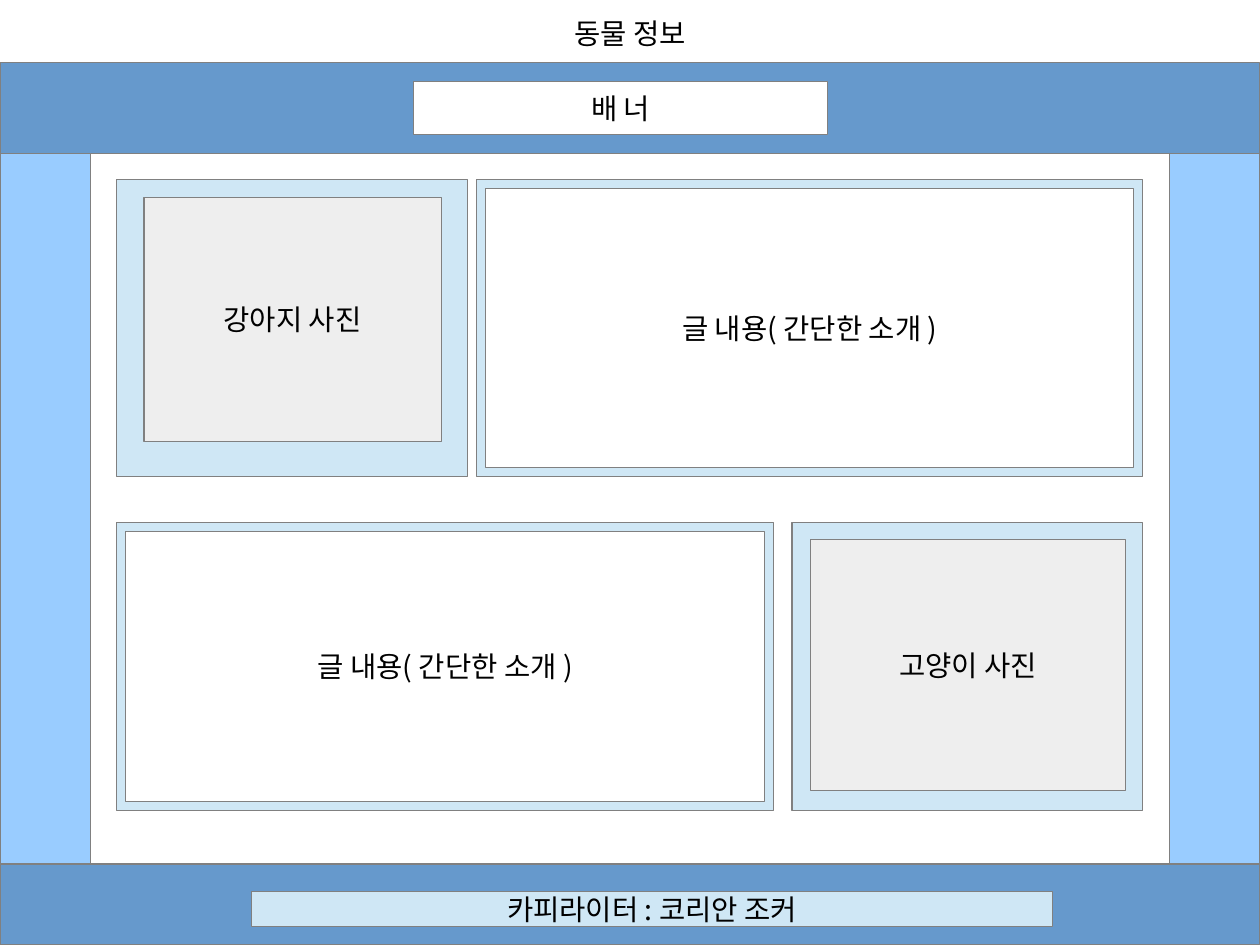
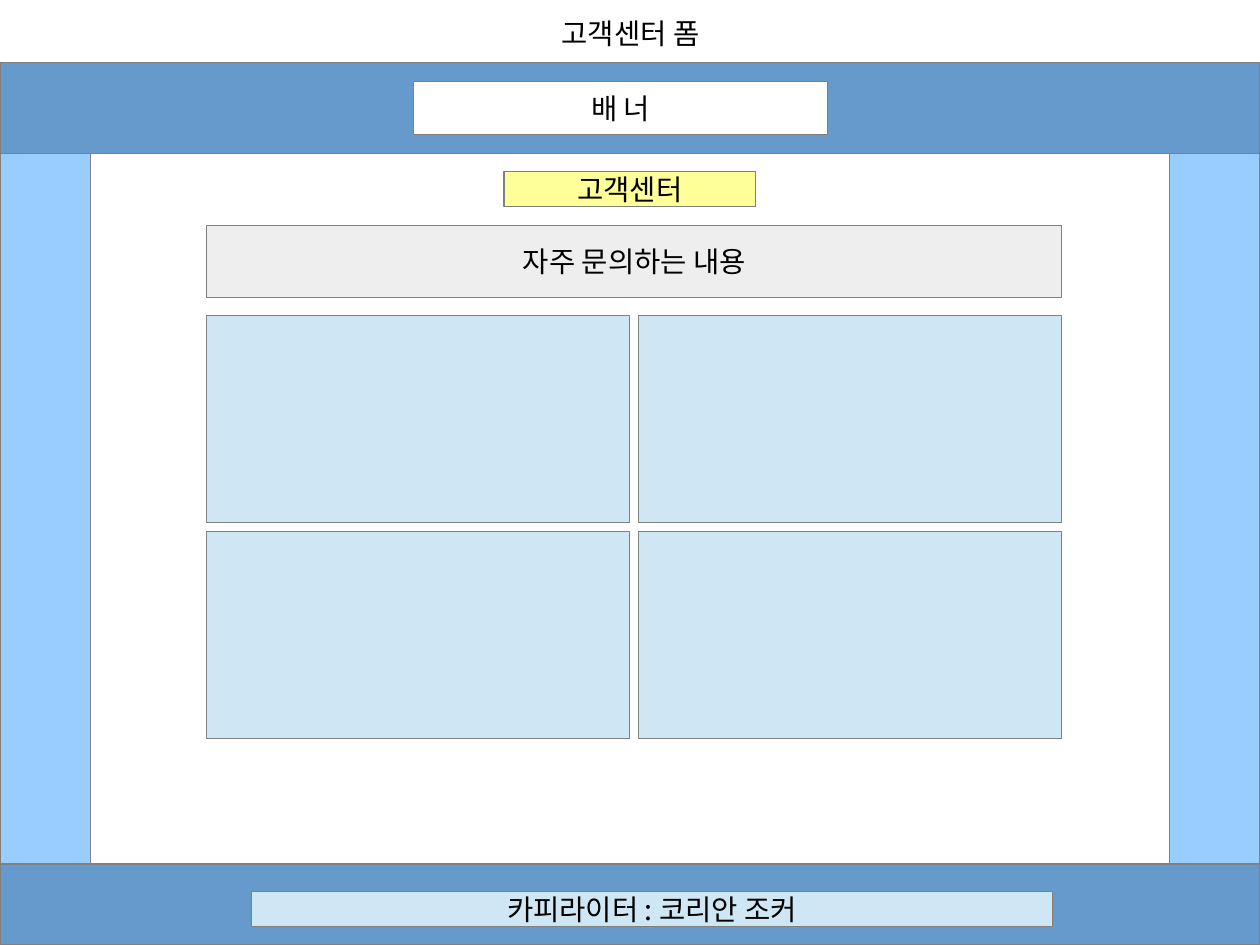
from dataclasses import dataclass

from lxml import etree
from pptx import Presentation
from pptx.dml.color import RGBColor
from pptx.enum.shapes import MSO_SHAPE
from pptx.enum.text import MSO_ANCHOR, PP_ALIGN
from pptx.oxml.ns import qn
from pptx.util import Inches, Pt

RECTANGLE = MSO_SHAPE.RECTANGLE
CENTER = PP_ALIGN.CENTER
MIDDLE = MSO_ANCHOR.MIDDLE
TOP = MSO_ANCHOR.TOP


@dataclass(frozen=True)
class Theme:
    band: str = "6699CC"
    side: str = "99CCFF"
    card: str = "CFE7F5"
    photo: str = "EEEEEE"
    paper: str = "FFFFFF"
    highlight: str = "FFFF99"
    outline: str = "808080"
    text: str = "000000"
    font: str = "Noto Sans CJK KR"
    size: int = 18


theme = Theme()
CM_PER_INCH = 2.54
WIDTH, HEIGHT = 28 / CM_PER_INCH, 21 / CM_PER_INCH
BAND_TOP, BODY_TOP, FOOTER_TOP = 0.55, 1.34, 7.56
SIDE_WIDTH = 0.79
GAP = 0.08


def write_text(shape, text, anchor=MIDDLE):
    frame_format = {
        "word_wrap": True,
        "vertical_anchor": anchor,
        "margin_left": Inches(0.1),
        "margin_right": Inches(0.1),
        "margin_top": Inches(0.05),
        "margin_bottom": Inches(0.05),
    }
    for name, value in frame_format.items():
        setattr(shape.text_frame, name, value)
    paragraph = shape.text_frame.paragraphs[0]
    paragraph.alignment = CENTER
    run = paragraph.add_run()
    run.text = text
    run.font.color.rgb = RGBColor.from_string(theme.text)
    for name, value in {"size": Pt(theme.size), "name": theme.font}.items():
        setattr(run.font, name, value)
    east_asian = etree.SubElement(run.font._element, qn("a:ea"))
    east_asian.set("typeface", theme.font)


def add_box(slide, left, top, width, height, fill, text=""):
    shape = slide.shapes.add_shape(
        RECTANGLE, Inches(left), Inches(top), Inches(width), Inches(height)
    )
    shape.shadow.inherit = False
    shape.fill.solid()
    shape.fill.fore_color.rgb = RGBColor.from_string(fill)
    shape.line.color.rgb = RGBColor.from_string(theme.outline)
    shape.line.width = Pt(0)
    if text:
        write_text(shape, text)


presentation = Presentation()
presentation.slide_width = Inches(WIDTH)
presentation.slide_height = Inches(HEIGHT)
title_only = presentation.slide_layouts[5]

title_place = {
    "left": Inches(4.02),
    "top": Inches(0.09),
    "width": Inches(2.99),
    "height": Inches(0.46),
}
body_height = FOOTER_TOP - BODY_TOP
frame_boxes = [
    (0, BAND_TOP, WIDTH, BODY_TOP - BAND_TOP, theme.band),
    (0, BODY_TOP, SIDE_WIDTH, body_height, theme.side),
    (WIDTH - SIDE_WIDTH, BODY_TOP, SIDE_WIDTH, body_height, theme.side),
    (0, FOOTER_TOP, WIDTH, HEIGHT - FOOTER_TOP, theme.band),
    (3.62, 0.71, 3.62, 0.47, theme.paper, "배 너"),
    (2.2, 7.8, 7.01, 0.31, theme.card, "카피라이터 : 코리안 조커"),
]

slides = []
for title in ["동물 정보", "고객센터 폼"]:
    slide = presentation.slides.add_slide(title_only)
    for name, value in title_place.items():
        setattr(slide.shapes.title, name, value)
    write_text(slide.shapes.title, title, TOP)
    for box in frame_boxes:
        add_box(slide, *box)
    slides.append(slide)
animal_slide, support_slide = slides

introduction = "글 내용( 간단한 소개 )"
text_insets = (GAP, GAP, GAP, GAP)
dog_insets = (0.24, 0.16, 0.23, 0.31)
cat_insets = (0.16, 0.15, 0.15, 0.17)
animal_cards = [
    (1.02, 1.57, 3.07, 2.6, dog_insets, theme.photo, "강아지 사진"),
    (4.17, 1.57, 5.83, 2.6, text_insets, theme.paper, introduction),
    (6.93, 4.57, 3.07, 2.52, cat_insets, theme.photo, "고양이 사진"),
    (1.02, 4.57, 5.75, 2.52, text_insets, theme.paper, introduction),
]
for left, top, width, height, insets, fill, text in animal_cards:
    add_box(animal_slide, left, top, width, height, theme.card)
    inset_left, inset_top, inset_right, inset_bottom = insets
    add_box(
        animal_slide,
        left + inset_left,
        top + inset_top,
        width - inset_left - inset_right,
        height - inset_top - inset_bottom,
        fill,
        text,
    )

add_box(support_slide, 4.41, 1.5, 2.2, 0.31, theme.highlight, "고객센터")
grid_left, grid_top = 1.81, 2.76
cell_width, cell_height = 3.7, 1.81
grid_width = 2 * cell_width + GAP
add_box(support_slide, grid_left, 1.97, grid_width, 0.63, theme.photo, "자주 문의하는 내용")
for column in range(2):
    for row in range(2):
        add_box(
            support_slide,
            grid_left + column * (cell_width + GAP),
            grid_top + row * (cell_height + GAP),
            cell_width,
            cell_height,
            theme.card,
        )

presentation.save("out.pptx")
